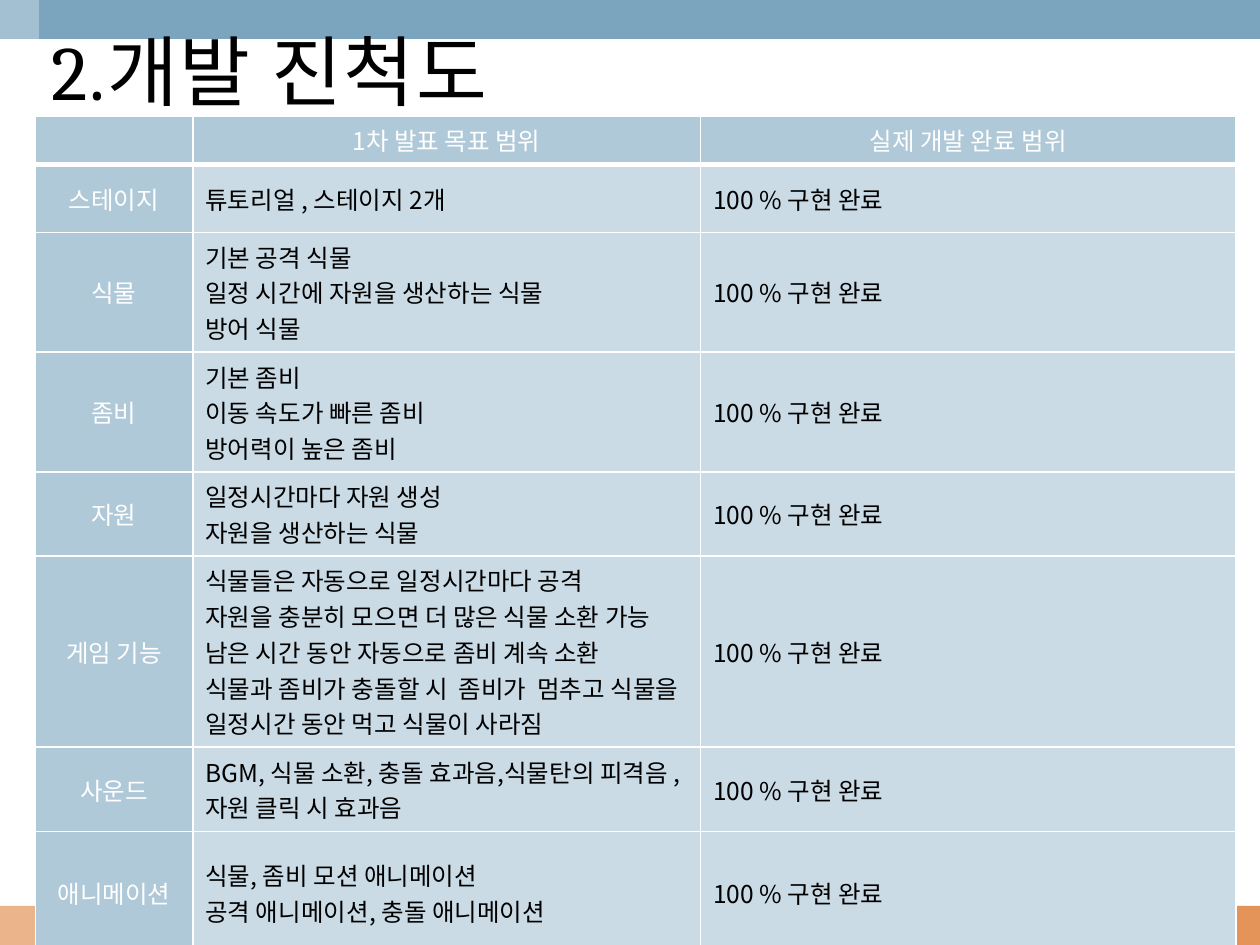
from lxml.etree import SubElement
from pptx import Presentation
from pptx.dml.color import RGBColor
from pptx.enum.shapes import MSO_SHAPE
from pptx.enum.text import MSO_ANCHOR, PP_ALIGN
from pptx.oxml.ns import qn
from pptx.util import Inches, Pt

COLORS = {
    "top": "7BA5BE", "bottom": "E49458", "white": "FFFFFF",
    "black": "000000", "label": "B0C9D8", "body": "CADBE5",
}
KOREAN = "Noto Sans CJK KR"
CELL_FONT = {"name": KOREAN, "size": Pt(14), "bold": False}
TITLE_FONT = {"name": "Cambria", "size": Pt(44), "bold": False}
COLUMNS = [1.25, 4.03, 4.25]
HEIGHTS = [0.33, 0.54, 0.86, 0.66, 0.47, 1.39, 0.5, 0.98]
HEADER = ["", "1차 발표 목표 범위", "실제 개발 완료 범위"]
DONE = "100 % 구현 완료"
GOALS = {
    "스테이지": ["튜토리얼 , 스테이지 2개"],
    "식물": ["기본 공격 식물", "일정 시간에 자원을 생산하는 식물", "방어 식물"],
    "좀비": ["기본 좀비", "이동 속도가 빠른 좀비", "방어력이 높은 좀비"],
    "자원": ["일정시간마다 자원 생성", "자원을 생산하는 식물"],
    "게임 기능": [
        "식물들은 자동으로 일정시간마다 공격",
        "자원을 충분히 모으면 더 많은 식물 소환 가능",
        "남은 시간 동안 자동으로 좀비 계속 소환",
        "식물과 좀비가 충돌할 시  좀비가  멈추고 식물을 일정시간 동안 먹고 식물이 사라짐",
    ],
    "사운드": ["BGM, 식물 소환, 충돌 효과음,식물탄의 피격음 , 자원 클릭 시 효과음"],
    "애니메이션": ["식물, 좀비 모션 애니메이션", "공격 애니메이션, 충돌 애니메이션"],
}


def rgb(name):
    return RGBColor.from_string(COLORS[name])


def add_bar(s, box, color, alpha=None):
    bar = s.shapes.add_shape(MSO_SHAPE.RECTANGLE, *map(Inches, box))
    bar.shadow.inherit = False
    bar.line.fill.background()
    bar.fill.solid()
    bar.fill.fore_color.rgb = rgb(color)
    if alpha is not None:
        clr = bar.fill._xPr.find(".//" + qn("a:srgbClr"))
        SubElement(clr, qn("a:alpha"), val=str(alpha * 1000))


def write_lines(tf, lines, font, color, align):
    for i, line in enumerate(lines):
        p = tf.paragraphs[0] if i == 0 else tf.add_paragraph()
        p.alignment = align
        if not line:
            # Size of an empty line
            SubElement(p._p, qn("a:endParaRPr"), sz=str(int(font["size"].pt * 100)))
            continue
        r = p.add_run()
        r.text = line
        for key, value in font.items():
            setattr(r.font, key, value)
        r.font.color.rgb = rgb(color)
        SubElement(r._r.get_or_add_rPr(), qn("a:ea"), typeface=KOREAN)


def add_title(s, text):
    tb = s.shapes.add_textbox(Inches(-0.01), Inches(0.04), Inches(4.3), Inches(1.03))
    tf = tb.text_frame
    tf.word_wrap = True
    tf.vertical_anchor = MSO_ANCHOR.MIDDLE
    write_lines(tf, [text], TITLE_FONT, "black", PP_ALIGN.CENTER)
    tf.paragraphs[0].runs[0]._r.get_or_add_rPr().set("spc", "100")


def set_borders(cell, widths):
    tcPr = cell._tc.get_or_add_tcPr()
    for side, width in widths.items():
        ln = SubElement(tcPr, qn("a:ln" + side), w=str(Pt(width)))
        fill = SubElement(ln, qn("a:solidFill"))
        SubElement(fill, qn("a:srgbClr"), val=COLORS["white"])


def fill_cell(cell, lines, is_label, widths):
    set_borders(cell, widths)
    cell.fill.solid()
    cell.fill.fore_color.rgb = rgb("label" if is_label else "body")
    cell.vertical_anchor = MSO_ANCHOR.MIDDLE
    write_lines(cell.text_frame, lines, CELL_FONT,
                "white" if is_label else "black",
                PP_ALIGN.CENTER if is_label else PP_ALIGN.LEFT)


def add_progress_table(s):
    rows = [[[text] for text in HEADER]]
    rows += [[[label], goals, [DONE]] for label, goals in GOALS.items()]
    table = s.shapes.add_table(
        len(rows), len(COLUMNS), Inches(0.28), Inches(0.92),
        Inches(sum(COLUMNS)), Inches(sum(HEIGHTS))).table
    table.first_row = table.horz_banding = False
    for col, width in zip(table.columns, COLUMNS):
        col.width = Inches(width)
    for row, height in zip(table.rows, HEIGHTS):
        row.height = Inches(height)
    for i, row in enumerate(rows):
        # Thick rule below the header
        widths = {"L": 1, "R": 1, "T": 3 if i == 1 else 1, "B": 3 if i == 0 else 1}
        for j, lines in enumerate(row):
            fill_cell(table.cell(i, j), lines, i == 0 or j == 0, widths)


def main():
    prs = Presentation()
    prs.slide_width, prs.slide_height = Inches(10), Inches(7.5)
    s = prs.slides.add_slide(prs.slide_layouts[6])

    # Edge bars
    add_bar(s, (0, 7.19, 10, 0.31), "bottom")
    add_bar(s, (0, 0, 10, 0.31), "top")
    add_bar(s, (0, 0, 0.31, 7.5), "white", alpha=30)

    # Content
    add_progress_table(s)
    add_title(s, "2.개발 진척도")
    prs.save("out.pptx")


if __name__ == "__main__":
    main()
